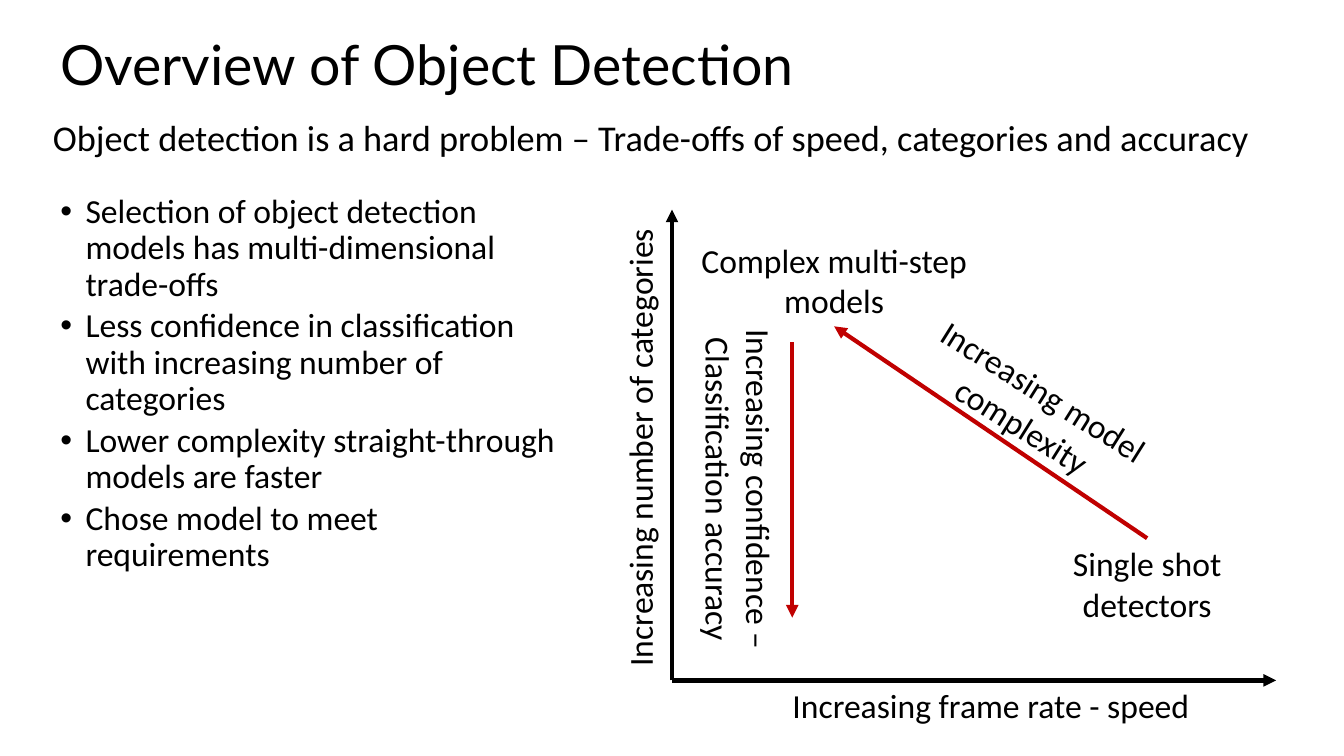
from lxml import etree
from pptx import Presentation
from pptx.dml.color import RGBColor
from pptx.enum.shapes import MSO_CONNECTOR
from pptx.enum.text import MSO_ANCHOR, PP_ALIGN
from pptx.oxml.ns import qn
from pptx.util import Inches, Pt

STRAIGHT = MSO_CONNECTOR.STRAIGHT
CENTER, LEFT = PP_ALIGN.CENTER, PP_ALIGN.LEFT
TOP, MIDDLE = MSO_ANCHOR.TOP, MSO_ANCHOR.MIDDLE
BLACK, RED = "000000", "C00000"

presentation = Presentation()
presentation.slide_width = Inches(13.33)
presentation.slide_height = Inches(7.5)
slide = presentation.slides.add_slide(presentation.slide_layouts[6])
column = presentation.slide_width / 100
row = presentation.slide_height / 100


def color(value):
    return RGBColor.from_string(value)


def add_text(box, lines, size=24, font="Calibri", align=CENTER, anchor=TOP,
             spacing=1.0, rotation=0, bullet=False):
    left, top, width, height = box
    shape = slide.shapes.add_textbox(int(left * column), int(top * row),
                                     int(width * column), int(height * row))
    shape.rotation = rotation
    frame = shape.text_frame
    frame.word_wrap = True
    frame.vertical_anchor = anchor
    for index, line in enumerate(lines):
        paragraph = frame.paragraphs[0] if index == 0 else frame.add_paragraph()
        paragraph.text = line
        paragraph.alignment = align
        paragraph.line_spacing = spacing
        if bullet:
            if index:
                paragraph.space_before = Pt(4)
            properties = paragraph._p.get_or_add_pPr()
            properties.set("marL", str(Inches(0.25)))
            properties.set("indent", str(-Inches(0.25)))
            etree.SubElement(properties, qn("a:buFont"), typeface="Arial")
            etree.SubElement(properties, qn("a:buChar"), char="•")
        paragraph.font.name = font
        paragraph.font.size = Pt(size)
        paragraph.font.color.rgb = color(BLACK)
    return shape


add_text((3.75, 4.8, 94.5, 8.4), ["Overview of Object Detection"],
         size=39.6, font="Lato", align=LEFT, anchor=MIDDLE, spacing=0.9)
add_text((3.2, 15.3, 94.5, 8.9),
         ["Object detection is a hard problem – Trade-offs of speed, categories and accuracy"],
         size=25.9, align=LEFT, spacing=0.9)
add_text((3.75, 25.07, 38.4, 67.7), [
    "Selection of object detection models has multi-dimensional trade-offs",
    "Less confidence in classification with increasing number of categories",
    "Lower complexity straight-through models are faster",
    "Chose model to meet requirements",
], align=LEFT, spacing=0.9, bullet=True)

detectors = add_text((75.68, 71.2, 19.35, 12.1), ["Single shot detectors"])
models = add_text((51.3, 31.07, 21.53, 12.1), ["Complex multi-step models"])
add_text((57.15, 90, 33.15, 6.7), ["Increasing frame rate - speed"])
add_text((29.85, 55.87, 35.48, 6.7), ["Increasing number of categories"], rotation=270)
add_text((62.48, 48, 28.73, 12.1), ["Increasing model complexity"], rotation=32.2)
add_text((38.4, 58.67, 33.15, 12.1),
         ["Increasing confidence –", "Classification accuracy"], rotation=90)

arrows = [
    ((50, 90), (94.95, 90), BLACK, None),
    ((50, 90), (50, 27.73), BLACK, None),
    ((58.95, 45.3), (58.95, 81.7), RED, None),
    ((85.35, 71.2), (62.05, 43.2), RED, (detectors, models)),
]
for start, end, line_color, joined in arrows:
    arrow = slide.shapes.add_connector(
        STRAIGHT, int(start[0] * column), int(start[1] * row),
        int(end[0] * column), int(end[1] * row))
    if joined:
        arrow.begin_connect(joined[0], 0)
        arrow.end_connect(joined[1], 2)
    arrow.line.color.rgb = color(line_color)
    arrow.line.width = Pt(3)
    etree.SubElement(arrow.line._get_or_add_ln(), qn("a:tailEnd"), type="triangle")
    etree.SubElement(arrow._element.spPr, qn("a:effectLst"))

presentation.save("out.pptx")
